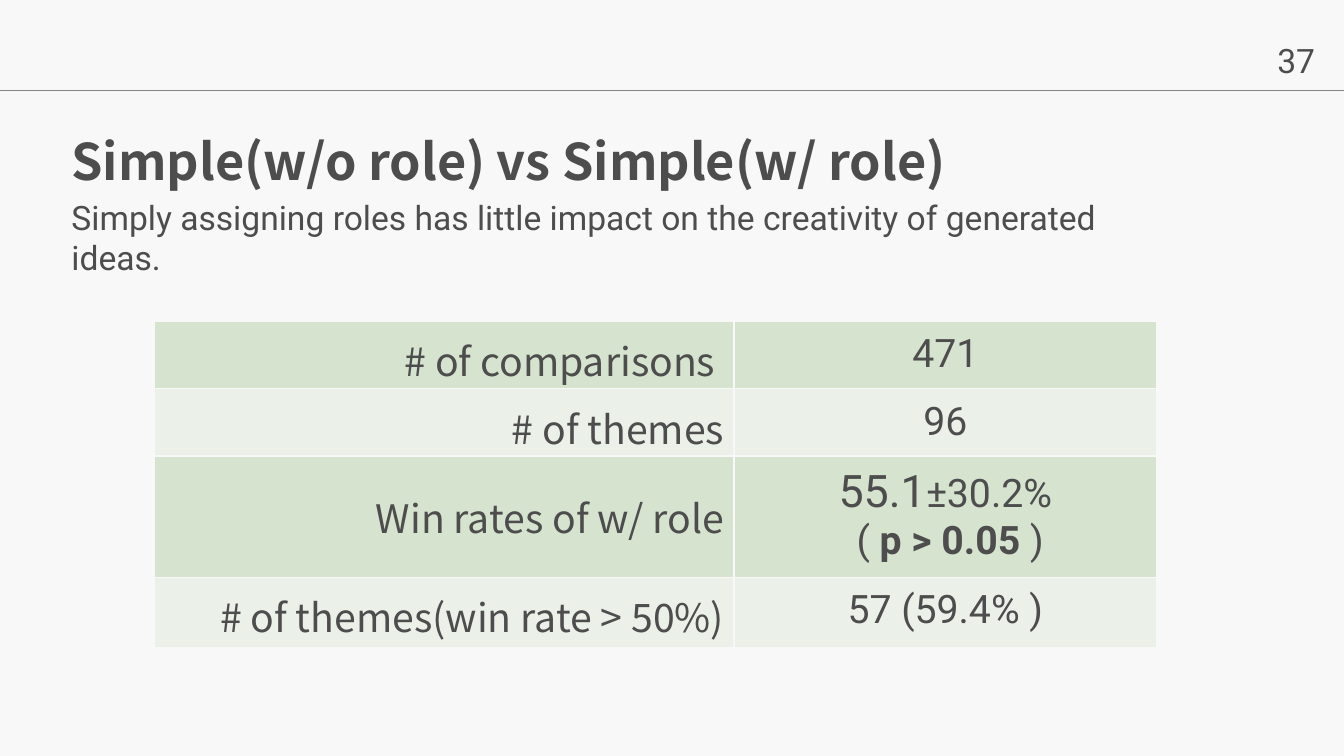
from lxml import etree
from pptx import Presentation
from pptx.dml.color import RGBColor
from pptx.enum.shapes import MSO_CONNECTOR
from pptx.enum.text import MSO_ANCHOR, MSO_AUTO_SIZE, PP_ALIGN
from pptx.oxml import parse_xml
from pptx.oxml.ns import nsdecls, qn
from pptx.util import Inches, Pt

STRAIGHT = MSO_CONNECTOR.STRAIGHT
TOP, MIDDLE = MSO_ANCHOR.TOP, MSO_ANCHOR.MIDDLE
RIGHT, CENTER = PP_ALIGN.RIGHT, PP_ALIGN.CENTER
GROW = MSO_AUTO_SIZE.SHAPE_TO_FIT_TEXT

PAPER = RGBColor(0xF8, 0xF8, 0xF8)
INK = RGBColor(0x4D, 0x4D, 0x4D)
RULE = RGBColor(0x85, 0x85, 0x85)
BANDS = [RGBColor(0xD5, 0xE3, 0xCF), RGBColor(0xEB, 0xF1, 0xE9)]
HEADING_FONT = "Noto Sans CJK JP"
BODY_FONT = "Roboto"

WIDTH, HEIGHT = Inches(13.33), Inches(7.5)
COLUMN, ROW = WIDTH / 100, HEIGHT / 100
MARGIN = 4.58


def place(left, top, width, height):
    return int(left * COLUMN), int(top * ROW), int(width * COLUMN), int(height * ROW)


def write(para, spans, font):
    for text, size, bold in spans:
        span = para.add_run()
        span.text = text
        span.font.name = font
        span.font.size = Pt(size)
        span.font.bold = bold
        span.font.color.rgb = INK


deck = Presentation()
deck.slide_width, deck.slide_height = WIDTH, HEIGHT
page = deck.slides.add_slide(deck.slide_layouts[6])
page.background.fill.solid()
page.background.fill.fore_color.rgb = PAPER

rule = page.shapes.add_connector(STRAIGHT, 0, int(12 * ROW), WIDTH, int(12 * ROW))
rule.line.color.rgb = RULE
rule.line.width = Pt(1)
etree.SubElement(rule.element.spPr, qn("a:effectLst"))

number = page.shapes.add_textbox(*place(94.3, 4.67, 4.58, 6.67)).text_frame
number.word_wrap = False
number.auto_size = GROW
write(number.paragraphs[0], [("37", 24, False)], BODY_FONT)

title = page.shapes.add_textbox(*place(MARGIN, 14.8, 91.07, 13.73)).text_frame
title.word_wrap = True
title.vertical_anchor = MIDDLE
title.paragraphs[0].line_spacing = 0.9
write(title.paragraphs[0], [("Simple(w/o role) vs Simple(w/ role)", 36, True)], HEADING_FONT)

results = [
    ("# of comparisons ", [[("471", 28, False)]]),
    ("# of themes", [[("96", 28, False)]]),
    ("Win rates of w/ role", [
        [("55.1", 32, False), ("±30.2%", 28, False)],
        [(" ( ", 28, False), ("p > 0.05 ", 28, True), (")", 28, False)],
    ]),
    ("# of themes(win rate > 50%)", [[("57 (59.4% )", 28, False)]]),
]
table = page.shapes.add_table(len(results), 2, *place(11.48, 42.53, 74.57, 30.13)).table
table.first_row = table.horz_banding = False
for column, share in zip(table.columns, [43.14, 31.43]):
    column.width = int(share * COLUMN)
for row, share in zip(table.rows, [5.73, 5.73, 9.33, 9.33]):
    row.height = int(share * ROW)

for index, (label, values) in enumerate(results):
    sides = [
        ([[(label, 28, False)]], HEADING_FONT, RIGHT, MIDDLE),
        (values, BODY_FONT, CENTER, TOP),
    ]
    for cell, (lines, font, align, anchor) in zip(table.rows[index].cells, sides):
        cell.margin_left = cell.margin_right = Inches(0.1)
        cell.margin_top = cell.margin_bottom = Inches(0.1)
        cell.vertical_anchor = anchor
        cell.text_frame.text = "\n".join("" for line in lines)
        for para, spans in zip(cell.text_frame.paragraphs, lines):
            para.alignment = align
            write(para, spans, font)
        properties = cell._tc.get_or_add_tcPr()
        for edge in ("lnL", "lnR", "lnT", "lnB"):
            properties.append(parse_xml(
                f'<a:{edge} {nsdecls("a")} w="{Pt(1)}"><a:solidFill>'
                f'<a:srgbClr val="{PAPER}"/></a:solidFill></a:{edge}>'))
        cell.fill.solid()
        cell.fill.fore_color.rgb = BANDS[index % 2]

summary = page.shapes.add_textbox(*place(MARGIN, 25.33, 84.4, 6.67)).text_frame
summary.word_wrap = True
summary.auto_size = GROW
sentence = "Simply assigning roles has little impact on the creativity of generated ideas."
write(summary.paragraphs[0], [(sentence, 24, False)], BODY_FONT)

deck.save("out.pptx")
